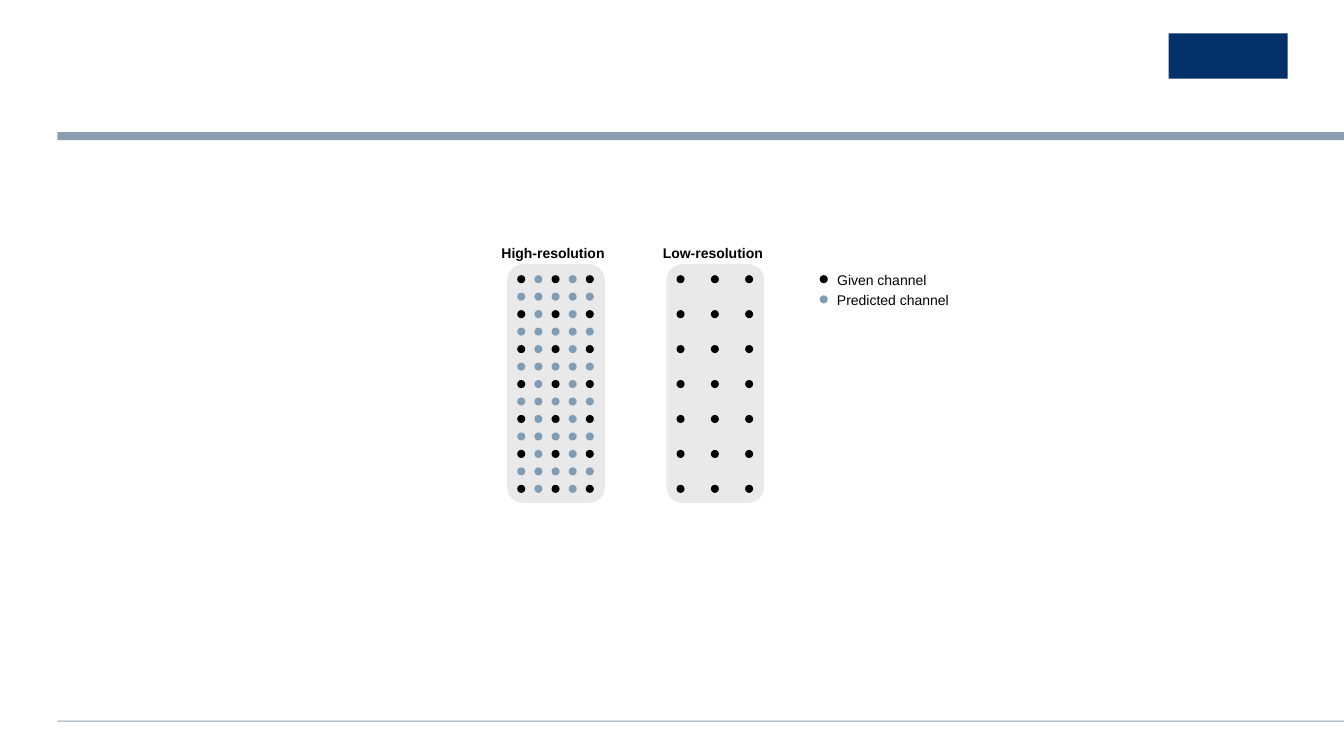
from pptx import Presentation
from pptx.dml.color import RGBColor
from pptx.enum.shapes import MSO_SHAPE
from pptx.enum.text import MSO_AUTO_SIZE, PP_ALIGN
from pptx.util import Inches, Pt

BLACK, BLUE, GREY = "000000", "809DB6", "E9E9E9"
RULE_COLOR, BADGE_COLOR = "8C9FB1", "04316A"
ROWS, COLUMNS = 13, 5
COLUMN_STEP, ROW_STEP = 0.17, 2.08 / 12
DOT_SIZE = 0.08
GRID_TOP = 2.73


def rgb(value):
    return RGBColor.from_string(value)


class SlideBuilder:
    font_name = "Arial"
    font_size = Pt(10)

    def __init__(self, slide):
        self.slide = slide

    def shape(self, kind, left, top, width, height, color):
        shape = self.slide.shapes.add_shape(
            kind, Inches(left), Inches(top), Inches(width), Inches(height))
        shape.shadow.inherit = False
        shape.fill.solid()
        shape.fill.fore_color.rgb = rgb(color)
        shape.line.fill.background()

    def bar(self, left, top, width, height, color):
        self.shape(MSO_SHAPE.RECTANGLE, left, top, width, height, color)

    def dot(self, left, top, color):
        self.shape(MSO_SHAPE.OVAL, left, top, DOT_SIZE, DOT_SIZE, color)

    def label(self, text, left, top, width, bold=False):
        box = self.slide.shapes.add_textbox(
            Inches(left), Inches(top), Inches(width), Inches(0.17))
        frame = box.text_frame
        frame.margin_left = frame.margin_right = 0
        frame.margin_top = frame.margin_bottom = 0
        frame.word_wrap = False
        frame.auto_size = MSO_AUTO_SIZE.SHAPE_TO_FIT_TEXT
        paragraph = frame.paragraphs[0]
        paragraph.text = text
        paragraph.alignment = PP_ALIGN.CENTER
        paragraph.line_spacing = 1.1
        paragraph.space_after = Pt(12)
        font = paragraph.font
        font.name, font.size, font.bold = self.font_name, self.font_size, bold
        font.color.rgb = rgb(BLACK)

    def electrode_grid(self, left, show_predicted):
        """Draw a panel of channels; every second row and column is given."""
        self.shape(MSO_SHAPE.ROUNDED_RECTANGLE, left, 2.62, 0.97, 2.37, GREY)
        for column in range(COLUMNS):
            for row in range(ROWS):
                given = column % 2 == 0 and row % 2 == 0
                if given or show_predicted:
                    self.dot(left + 0.1 + column * COLUMN_STEP,
                             GRID_TOP + row * ROW_STEP,
                             BLACK if given else BLUE)

    def legend_entry(self, text, top, width, color):
        self.dot(8.13, top, color)
        self.label(text, 8.3, top - 0.05, width)


def main():
    presentation = Presentation()
    presentation.slide_width = Inches(13.33)
    presentation.slide_height = Inches(7.5)
    builder = SlideBuilder(
        presentation.slides.add_slide(presentation.slide_layouts[6]))

    builder.bar(0.57, 1.31, 12.76, 0.08, RULE_COLOR)
    builder.bar(0.57, 7.15, 12.76, 0.01, RULE_COLOR)
    builder.bar(11.59, 0.33, 1.18, 0.45, BADGE_COLOR)

    builder.label("High-resolution", 4.97, 2.41, 1.03, bold=True)
    builder.electrode_grid(5.03, show_predicted=True)
    builder.label("Low-resolution", 6.57, 2.41, 1.0, bold=True)
    builder.electrode_grid(6.61, show_predicted=False)

    builder.legend_entry("Given channel", 2.73, 0.89, BLACK)
    builder.legend_entry("Predicted channel", 2.93, 1.11, BLUE)

    presentation.save("out.pptx")


if __name__ == "__main__":
    main()
